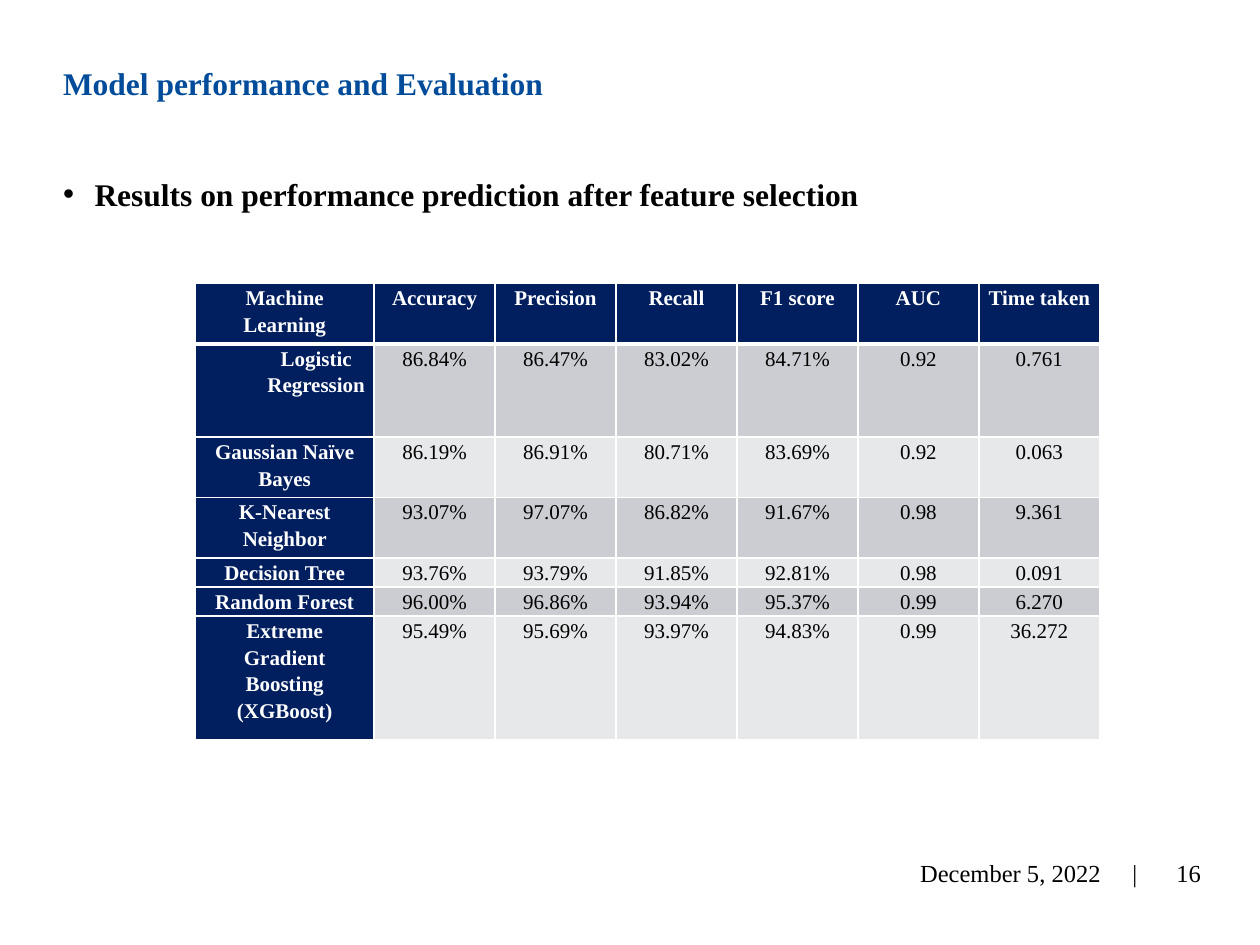
from lxml import etree
from pptx import Presentation
from pptx.dml.color import RGBColor
from pptx.enum.text import MSO_ANCHOR, MSO_AUTO_SIZE, PP_ALIGN
from pptx.oxml.ns import qn
from pptx.util import Inches, Pt

LEFT, CENTER, RIGHT = PP_ALIGN.LEFT, PP_ALIGN.CENTER, PP_ALIGN.RIGHT
TOP, MIDDLE = MSO_ANCHOR.TOP, MSO_ANCHOR.MIDDLE
NO_AUTOFIT = MSO_AUTO_SIZE.NONE

BLUE, NAVY, BLACK, WHITE = "004C9B", "011E5E", "000000", "FFFFFF"
BANDS = ("CCCDD2", "E7E8EA")

RESULTS = [
    ("Machine Learning", "Accuracy", "Precision", "Recall", "F1 score", "AUC", "Time taken"),
    ("Logistic Regression", "86.84%", "86.47%", "83.02%", "84.71%", "0.92", "0.761"),
    ("Gaussian Naïve Bayes", "86.19%", "86.91%", "80.71%", "83.69%", "0.92", "0.063"),
    ("K-Nearest Neighbor", "93.07%", "97.07%", "86.82%", "91.67%", "0.98", "9.361"),
    ("Decision Tree", "93.76%", "93.79%", "91.85%", "92.81%", "0.98", "0.091"),
    ("Random Forest", "96.00%", "96.86%", "93.94%", "95.37%", "0.99", "6.270"),
    ("Extreme Gradient Boosting (XGBoost)", "95.49%", "95.69%", "93.97%", "94.83%", "0.99", "36.272"),
]
COLUMN_WIDTHS = [1.42] + [0.96] * 6
ROW_HEIGHTS = [0.48, 0.74, 0.48, 0.48, 0.23, 0.23, 0.98]


def color(value):
    return RGBColor.from_string(value)


def set_attributes(target, values):
    for name, value in values.items():
        setattr(target, name, value)


class SlideBuilder:
    font_name = "Times New Roman"

    def __init__(self, presentation):
        self.slide = presentation.slides.add_slide(presentation.slide_layouts[1])

    def place(self, shape, left, top, width, height):
        set_attributes(shape, {
            "left": Inches(left), "top": Inches(top),
            "width": Inches(width), "height": Inches(height),
        })

    def fill_paragraph(self, paragraph, text, size, text_color, bold=False, **formats):
        paragraph.text = text
        set_attributes(paragraph, {"space_before": Pt(0), **formats})
        font = paragraph.runs[0].font
        set_attributes(font, {"name": self.font_name, "size": Pt(size), "bold": bold})
        font.color.rgb = color(text_color)

    def indent(self, paragraph, left, first=0):
        properties = paragraph._p.get_or_add_pPr()
        properties.set("marL", str(Inches(left)))
        properties.set("indent", str(Inches(first)))
        return properties

    def placeholder(self, shape, box, text, text_color, **formats):
        self.place(shape, *box)
        frame = shape.text_frame
        set_attributes(frame, {"word_wrap": True, "auto_size": NO_AUTOFIT, "vertical_anchor": TOP})
        paragraph = frame.paragraphs[0]
        self.fill_paragraph(paragraph, text, 18, text_color, True, alignment=LEFT, **formats)
        return paragraph

    def title(self, box, text):
        self.placeholder(self.slide.shapes.title, box, text, BLUE, line_spacing=1.1, space_after=Pt(5))

    def bullet(self, box, text):
        paragraph = self.placeholder(
            self.slide.placeholders[1], box, text, BLACK, line_spacing=2.0, space_after=Pt(6))
        properties = self.indent(paragraph, 0.25, -0.25)
        bullet_color = etree.SubElement(properties, qn("a:buClr"))
        etree.SubElement(bullet_color, qn("a:srgbClr"), val=BLACK)
        etree.SubElement(properties, qn("a:buFont"), typeface="Arial")
        etree.SubElement(properties, qn("a:buChar"), char="•")

    def footer(self, box, text, alignment, tabs=(), right_margin=0.1):
        frame = self.slide.shapes.add_textbox(*map(Inches, box)).text_frame
        set_attributes(frame, {
            "word_wrap": True, "vertical_anchor": MIDDLE, "margin_right": Inches(right_margin),
        })
        paragraph = frame.paragraphs[0]
        self.fill_paragraph(paragraph, text, 14, BLACK, alignment=alignment)
        if tabs:
            tab_list = etree.SubElement(paragraph._p.get_or_add_pPr(), qn("a:tabLst"))
            for position, side in tabs:
                etree.SubElement(tab_list, qn("a:tab"), pos=str(Inches(position)), algn=side)

    def borders(self, cell, row):
        widths = {"L": 1, "R": 1, "T": 3 if row == 1 else 1, "B": 3 if row == 0 else 1}
        properties = cell._tc.get_or_add_tcPr()
        for position, (side, width) in enumerate(widths.items()):
            line = etree.Element(qn(f"a:ln{side}"), w=str(Pt(width)))
            fill = etree.SubElement(line, qn("a:solidFill"))
            etree.SubElement(fill, qn("a:srgbClr"), val=WHITE)
            properties.insert(position, line)

    def cell(self, cell, row, column, text):
        heading = row == 0 or column == 0
        set_attributes(cell, {
            "margin_left": Inches(0.07), "margin_right": Inches(0.07),
            "margin_top": 0, "margin_bottom": 0, "vertical_anchor": TOP,
        })
        cell.fill.solid()
        cell.fill.fore_color.rgb = color(NAVY if heading else BANDS[(row - 1) % 2])
        self.borders(cell, row)
        indented = (row, column) == (1, 0)
        paragraph = cell.text_frame.paragraphs[0]
        self.fill_paragraph(paragraph, text, 12, WHITE if heading else BLACK, heading,
                            alignment=CENTER, line_spacing=1.15, space_after=Pt(8 if indented else 6))
        if indented:
            self.indent(paragraph, 0.5)

    def table(self, left, top, rows):
        box = (left, top, sum(COLUMN_WIDTHS), sum(ROW_HEIGHTS))
        table = self.slide.shapes.add_table(len(rows), len(rows[0]), *map(Inches, box)).table
        for column, width in zip(table.columns, COLUMN_WIDTHS):
            column.width = Inches(width)
        for row, height in zip(table.rows, ROW_HEIGHTS):
            row.height = Inches(height)
        for row, values in enumerate(rows):
            for column, text in enumerate(values):
                self.cell(table.cell(row, column), row, column, text)


def main():
    presentation = Presentation()
    set_attributes(presentation, {"slide_width": Inches(10), "slide_height": Inches(7.5)})
    builder = SlideBuilder(presentation)
    builder.title((0.4, 0.43, 9.24, 1.17), "Model performance and Evaluation")
    builder.bullet((0.4, 1.04, 9.24, 1.17), "Results on performance prediction after feature selection")
    builder.footer((6.86, 6.73, 2.27, 0.4), "\tDecember 5, 2022\t|", LEFT,
                   tabs=((1.78, "r"), (2.03, "l")), right_margin=0)
    builder.footer((8.89, 6.73, 0.74, 0.4), "16", RIGHT)
    builder.table(1.55, 2.25, RESULTS)
    presentation.save("out.pptx")


if __name__ == "__main__":
    main()
